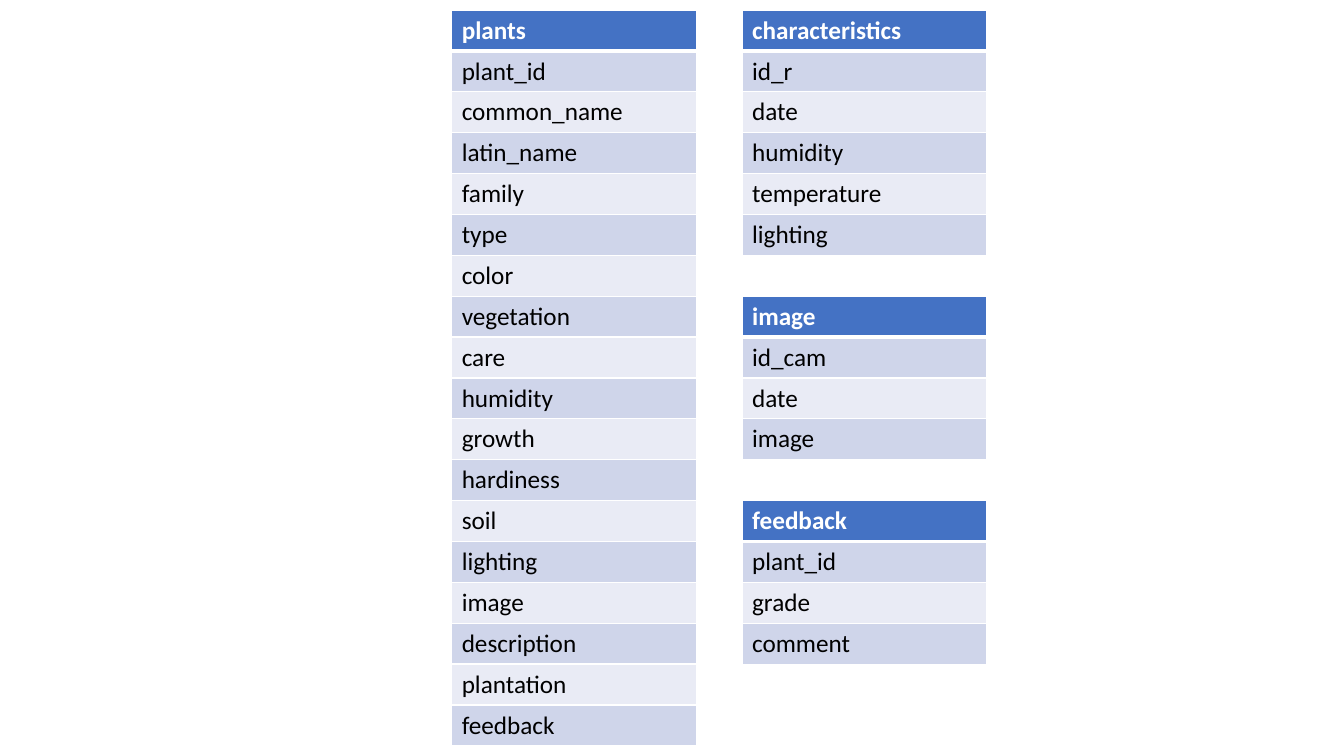
from lxml.etree import SubElement
from pptx import Presentation
from pptx.dml.color import RGBColor
from pptx.oxml.ns import qn
from pptx.util import Inches, Pt

COLORS = {
    "header": "4472C4",
    "odd": "CFD5EA",
    "even": "E9EBF5",
    "border": "FFFFFF",
    "header_text": "FFFFFF",
    "body_text": "000000",
}

# Grid: 18 rows between equal margins, two columns with a gap
TOP, ROW_HEIGHT = 0.1, 7.3 / 18
LEFT, COLUMN_WIDTH, COLUMN_GAP = 4.48, 2.43, 0.45

# (grid column, grid row, table name, fields)
TABLES = [
    (1, 0, "characteristics",
     ["id_r", "date", "humidity", "temperature", "lighting"]),
    (1, 7, "image", ["id_cam", "date", "image"]),
    (0, 0, "plants",
     ["plant_id", "common_name", "latin_name", "family", "type", "color",
      "vegetation", "care", "humidity", "growth", "hardiness", "soil",
      "lighting", "image", "description", "plantation", "feedback"]),
    (1, 12, "feedback", ["plant_id", "grade", "comment"]),
]


def set_borders(cell, widths):
    """Draw the cell's borders, given a dict of side to width in points."""
    properties = cell._tc.get_or_add_tcPr()
    for side, width in widths.items():
        line = SubElement(properties, qn(f"a:ln{side}"), w=str(Pt(width)))
        fill = SubElement(line, qn("a:solidFill"))
        SubElement(fill, qn("a:srgbClr"), val=COLORS["border"])


deck = Presentation()
deck.slide_width, deck.slide_height = Inches(13.33), Inches(7.5)
page = deck.slides.add_slide(deck.slide_layouts[6])

for grid_column, grid_row, name, fields in TABLES:
    texts = [name, *fields]
    table = page.shapes.add_table(
        len(texts), 1,
        Inches(LEFT + grid_column * (COLUMN_WIDTH + COLUMN_GAP)),
        Inches(TOP + grid_row * ROW_HEIGHT),
        Inches(COLUMN_WIDTH),
        Inches(len(texts) * ROW_HEIGHT),
    ).table
    for index, text in enumerate(texts):
        is_header = index == 0
        table.rows[index].height = Inches(ROW_HEIGHT)
        cell = table.cell(index, 0)
        set_borders(cell, {"L": 1, "R": 1,
                           "T": 3 if index == 1 else 1,
                           "B": 3 if is_header else 1})
        band = "header" if is_header else "odd" if index % 2 else "even"
        cell.fill.solid()
        cell.fill.fore_color.rgb = RGBColor.from_string(COLORS[band])

        span = cell.text_frame.paragraphs[0].add_run()
        span.text = text
        text_format = {"name": "Calibri", "size": Pt(18), "bold": is_header}
        for attribute, value in text_format.items():
            setattr(span.font, attribute, value)
        text_color = COLORS["header_text" if is_header else "body_text"]
        span.font.color.rgb = RGBColor.from_string(text_color)

deck.save("out.pptx")
